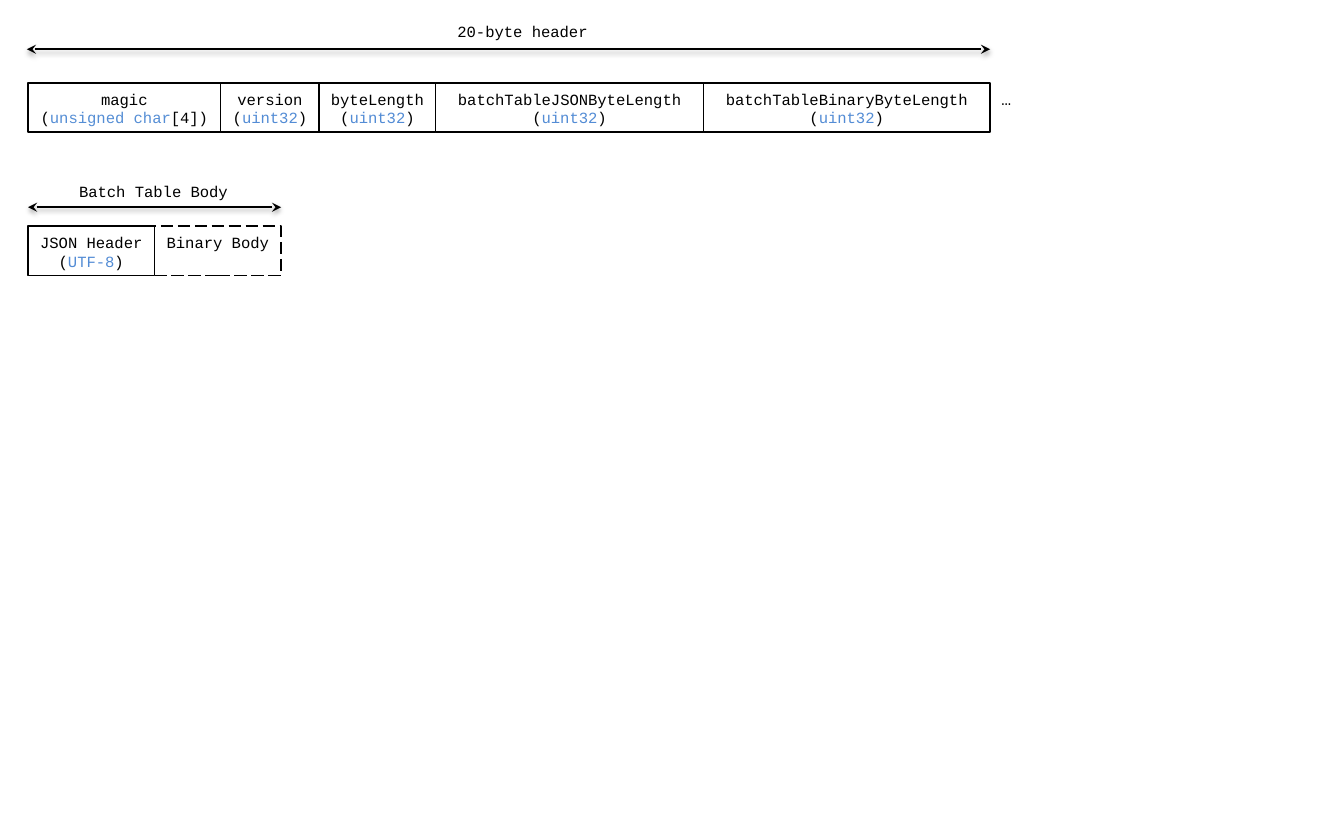
from lxml.etree import SubElement
from pptx import Presentation
from pptx.dml.color import RGBColor
from pptx.enum.dml import MSO_LINE_DASH_STYLE as Dash
from pptx.enum.shapes import MSO_CONNECTOR as Connector, MSO_SHAPE as Shape
from pptx.enum.text import MSO_ANCHOR as Anchor, PP_ALIGN as Align
from pptx.oxml.ns import qn
from pptx.util import Inches, Pt

BLACK = RGBColor(0x00, 0x00, 0x00)
BLUE = RGBColor(0x53, 0x8C, 0xD5)
CHAR_BLUE = RGBColor(0x55, 0x8E, 0xD5)

COLUMNS, ROWS = 1200, 750
LEFT = 25
FIELD_HEIGHT = 44
LABEL_HEIGHT = 27

# Each field: width in columns, name, type, text after the type, type colour
HEADER_FIELDS = [
    (172, "magic", "unsigned char", "[4]", CHAR_BLUE),
    (88, "version", "uint32", "", BLUE),
    (104, "byteLength", "uint32", "", BLUE),
    (239, "batchTableJSONByteLength", "uint32", "", BLUE),
    (256, "batchTableBinaryByteLength", "uint32", "", BLUE),
]
BODY_FIELDS = [
    (113, "JSON Header", "UTF-8", "", BLUE),
    (113, "Binary Body", None, "", BLUE),
]


class Diagram:
    """Draws byte layouts on a grid of COLUMNS by ROWS."""

    font_name = "Courier New"
    font_size = 10

    def __init__(self, presentation):
        self.slide = presentation.slides.add_slide(presentation.slide_layouts[6])
        self.column = presentation.slide_width / COLUMNS
        self.row = presentation.slide_height / ROWS

    def place(self, column, row, width, height):
        return (round(column * self.column), round(row * self.row),
                round(width * self.column), round(height * self.row))

    def add_text(self, paragraph, pieces, size):
        """Fills a centred paragraph with (text, colour) pieces."""
        paragraph.alignment = Align.CENTER
        for text, color in pieces:
            run = paragraph.add_run()
            run.text = text
            run.font.name = self.font_name
            run.font.size = Pt(size)
            run.font.color.rgb = color

    def label(self, text, column, row, width, height=LABEL_HEIGHT, size=font_size):
        box = self.slide.shapes.add_textbox(*self.place(column, row, width, height))
        box.text_frame.word_wrap = True
        self.add_text(box.text_frame.paragraphs[0], [(text, BLACK)], size)

    def field(self, column, row, width, name, type_name, suffix, color):
        """Draws one field; a field without a type is optional and dashed."""
        shape = self.slide.shapes.add_shape(
            Shape.RECTANGLE, *self.place(column, row, width, FIELD_HEIGHT))
        shape.shadow.inherit = False
        shape.fill.background()
        shape.line.color.rgb = BLACK
        shape.line.width = Pt(1)
        frame = shape.text_frame
        frame.word_wrap = True
        frame.vertical_anchor = Anchor.TOP
        frame.margin_top = Inches(0.06)
        self.add_text(frame.paragraphs[0], [(name, BLACK)], self.font_size)
        if type_name:
            pieces = [("(", BLACK), (type_name, color), (suffix + ")", BLACK)]
            self.add_text(frame.add_paragraph(), pieces, self.font_size)
        else:
            shape.line.dash_style = Dash.LONG_DASH

    def field_row(self, row, fields):
        column = LEFT
        for width, *content in fields:
            self.field(column, row, width, *content)
            column += width

    def span_arrow(self, start, end, row):
        """Draws a two-headed arrow with a soft shadow below it."""
        left, top, width, _ = self.place(start, row, end - start, 0)
        arrow = self.slide.shapes.add_connector(
            Connector.STRAIGHT, left, top, left + width, top)
        arrow.line.color.rgb = BLACK
        arrow.line.width = Pt(1)
        properties = arrow._element.spPr
        line = properties.find(qn("a:ln"))
        for tag in ("a:headEnd", "a:tailEnd"):
            SubElement(line, qn(tag), type="stealth")
        effects = SubElement(properties, qn("a:effectLst"))
        shadow = SubElement(effects, qn("a:outerShdw"), blurRad=str(Pt(3.1)),
                            dist=str(Pt(1.6)), dir="5400000", rotWithShape="0")
        color = SubElement(shadow, qn("a:srgbClr"), val=str(BLACK))
        SubElement(color, qn("a:alpha"), val="38000")


def main():
    presentation = Presentation()
    presentation.slide_width = Inches(12)
    presentation.slide_height = Inches(7.5)
    diagram = Diagram(presentation)

    diagram.label("20-byte header", 326, 15, 281)
    diagram.span_arrow(LEFT - 1, 884, 44)
    diagram.field_row(74, HEADER_FIELDS)
    diagram.label("…", 884, 75, 29, height=47, size=10.5)

    diagram.label("Batch Table Body", 45, 158, 184)
    diagram.span_arrow(LEFT, 251, 185)
    diagram.field_row(202, BODY_FIELDS)

    presentation.save("out.pptx")


if __name__ == "__main__":
    main()
